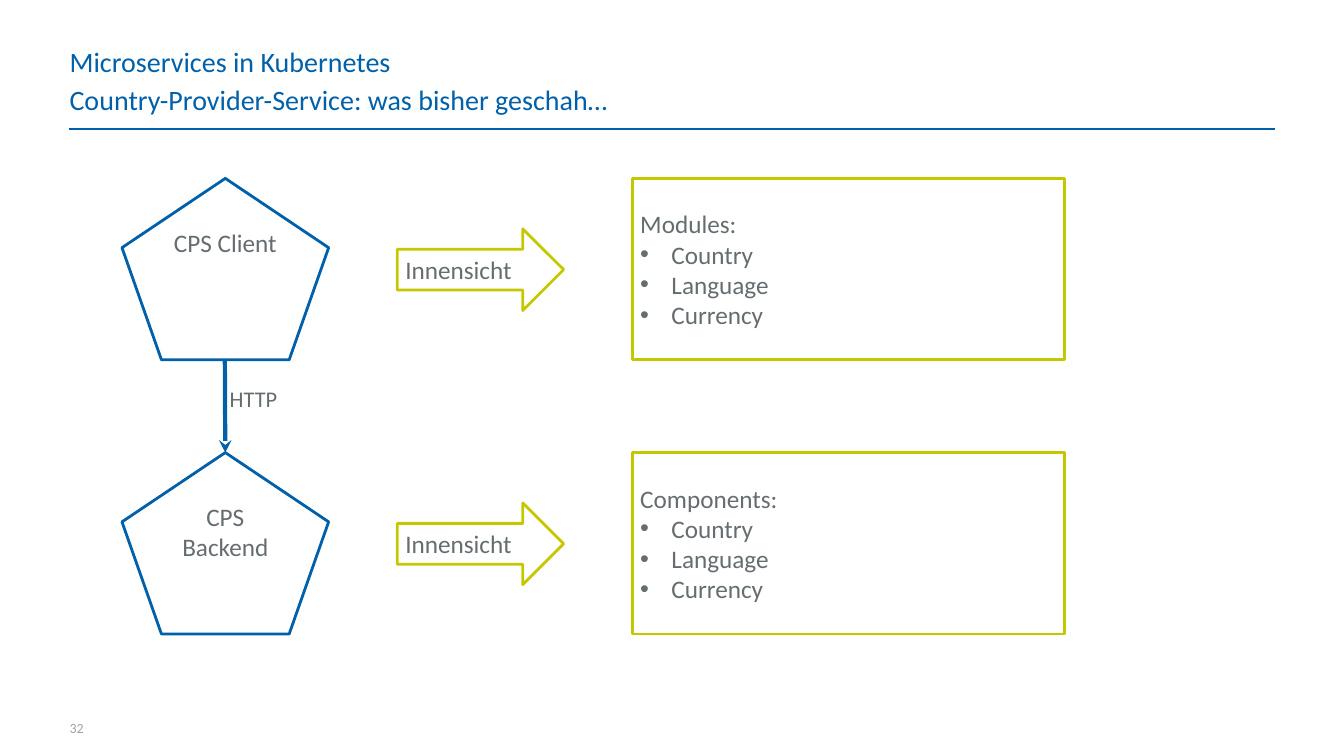
import pptx
import pptx.util
import pptx.dml.color
import pptx.enum.shapes
import pptx.enum.text
import pptx.oxml
import pptx.oxml.ns
from pptx.util import Inches

COLORS = {"blue": "0060A9", "lime": "C5C800", "text": "666D71", "pale": "A0A3A5"}
SHAPE = pptx.enum.shapes.MSO_SHAPE
ALIGN = pptx.enum.text.PP_ALIGN
ANCHOR = pptx.enum.text.MSO_ANCHOR


def rgb(name):
    return pptx.dml.color.RGBColor.from_string(COLORS[name])


def add_xml(parent, tag, **attrs):
    e = pptx.oxml.parse_xml(f"<a:{tag} {pptx.oxml.ns.nsdecls('a')}/>")
    for key, value in attrs.items():
        e.set(key, value)
    parent.append(e)


def write(tf, lines, size=18, color="text", align=ALIGN.LEFT, anchor=ANCHOR.MIDDLE,
          insets=(0.08, 0.06), spacing=None):
    tf.word_wrap = True
    tf.vertical_anchor = anchor
    tf.margin_left = tf.margin_right = Inches(insets[0])
    tf.margin_top = tf.margin_bottom = Inches(insets[1])
    for i, line in enumerate(lines):
        p = tf.paragraphs[0] if i == 0 else tf.add_paragraph()
        p.alignment = align
        if spacing:
            p.line_spacing = spacing
        if i > 0:
            pPr = p._p.get_or_add_pPr()
            pPr.set("marL", str(Inches(0.31)))
            pPr.set("indent", str(Inches(-0.31)))
            add_xml(pPr, "buFont", typeface="Arial")
            add_xml(pPr, "buChar", char="•")
        r = p.add_run()
        r.text = line
        r.font.size = pptx.util.Pt(size)
        r.font.name = "Calibri"
        r.font.color.rgb = rgb(color)


def add_text(s, text, x, y, w, h, **fmt):
    sp = s.shapes.add_textbox(Inches(x), Inches(y), Inches(w), Inches(h))
    write(sp.text_frame, [text], **fmt)


def add_outline(s, kind, lines, x, y, w, h, color, **fmt):
    sp = s.shapes.add_shape(kind, Inches(x), Inches(y), Inches(w), Inches(h))
    sp.shadow.inherit = False
    sp.fill.background()
    sp.line.color.rgb = rgb(color)
    sp.line.width = pptx.util.Pt(2)
    write(sp.text_frame, lines, **fmt)
    return sp


def add_line(s, x1, y1, x2, y2, width):
    c = s.shapes.add_connector(pptx.enum.shapes.MSO_CONNECTOR.STRAIGHT,
                               Inches(x1), Inches(y1), Inches(x2), Inches(y2))
    c.line.color.rgb = rgb("blue")
    c.line.width = pptx.util.Pt(width)
    add_xml(c._element.spPr, "effectLst")
    return c


def add_service(s, y, name, heading):
    sp = add_outline(s, SHAPE.REGULAR_PENTAGON, [name], 1.21, y, 2.05, 1.8, "blue",
                     align=ALIGN.CENTER, anchor=ANCHOR.TOP)
    add_outline(s, SHAPE.RIGHT_ARROW, ["Innensicht"], 3.94, y + 0.5, 1.65, 0.81, "lime")
    add_outline(s, SHAPE.RECTANGLE, [heading, "Country", "Language", "Currency"],
                6.27, y, 4.29, 1.8, "lime")
    return sp


def main():
    prs = pptx.Presentation()
    prs.slide_width, prs.slide_height = Inches(13.33), Inches(7.5)
    s = prs.slides.add_slide(prs.slide_layouts[6])

    add_line(s, 0.68, 1.28, 12.65, 1.28, 2)
    heading = dict(size=20, color="blue", insets=(0, 0))
    add_text(s, "Microservices in Kubernetes", 0.69, 0.42, 11.96, 0.37, **heading)
    add_text(s, "Country-Provider-Service: was bisher geschah…", 0.69, 0.8, 11.96, 0.37, **heading)
    add_text(s, "32", 0.69, 7.1, 0.52, 0.16, size=10, color="pale", insets=(0, 0), spacing=1.5)

    add_service(s, 1.77, "CPS Client", "Modules:")
    backend = add_service(s, 4.49, "CPS Backend", "Components:")

    call = add_line(s, 2.23, 3.57, 2.23, 4.49, 3)
    call.end_connect(backend, 0)
    add_xml(call.line._get_or_add_ln(), "tailEnd", type="stealth")
    add_text(s, "HTTP", 2.18, 3.77, 0.75, 0.37, size=16, anchor=ANCHOR.TOP, insets=(0.1, 0.05))

    prs.save("out.pptx")


if __name__ == "__main__":
    main()
